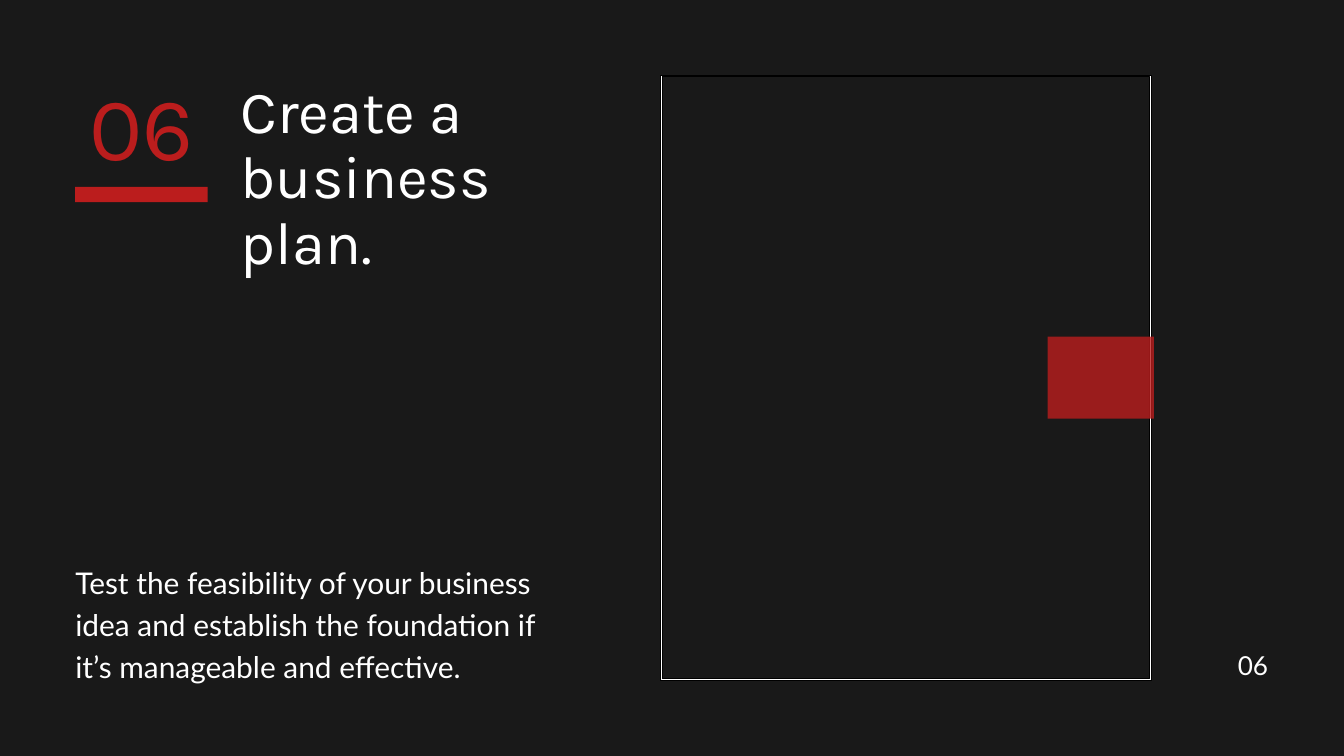
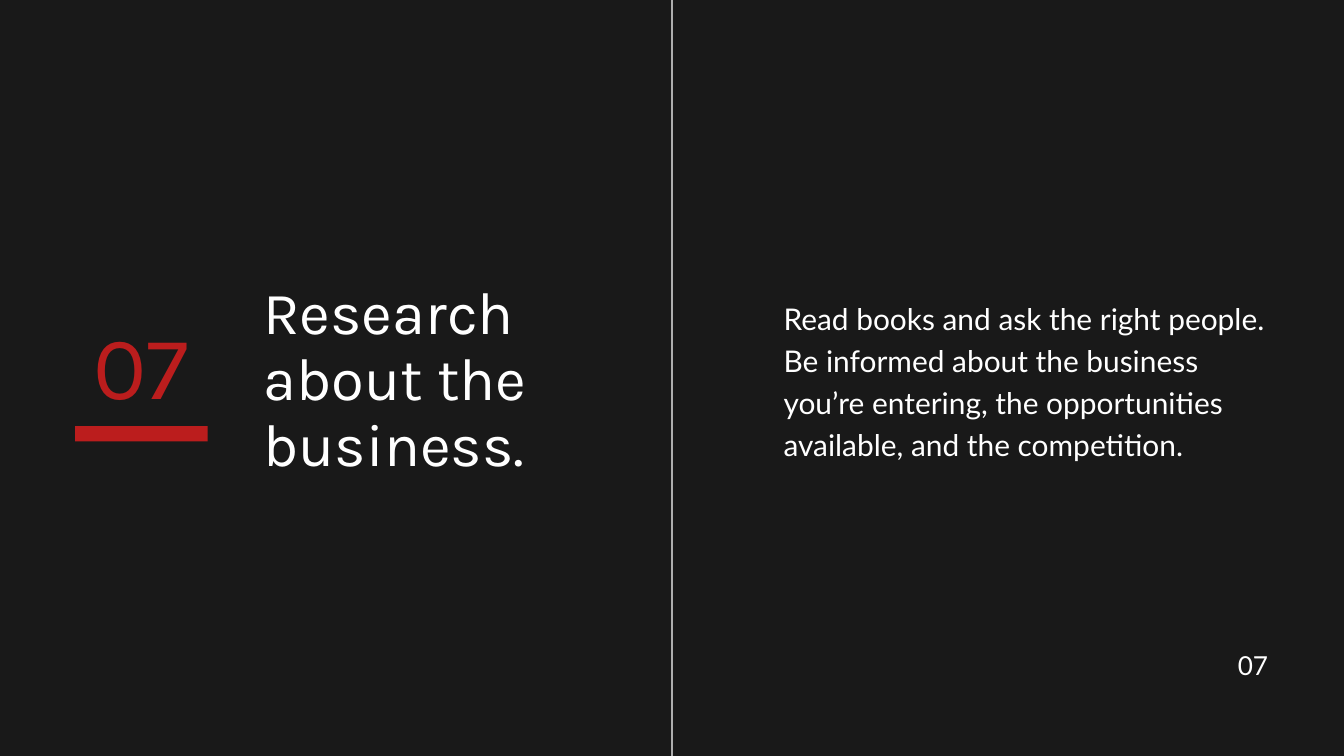
from dataclasses import dataclass

from lxml import etree
from pptx import Presentation
from pptx.dml.color import RGBColor
from pptx.enum.shapes import MSO_SHAPE
from pptx.enum.text import MSO_AUTO_SIZE, PP_ALIGN
from pptx.oxml.ns import qn
from pptx.util import Inches, Pt

RECT = MSO_SHAPE.RECTANGLE
GROW = MSO_AUTO_SIZE.SHAPE_TO_FIT_TEXT
LEFT, CENTER, RIGHT = PP_ALIGN.LEFT, PP_ALIGN.CENTER, PP_ALIGN.RIGHT


@dataclass(frozen=True)
class Theme:
    dark = RGBColor.from_string("191919")
    red = RGBColor.from_string("BB1D1D")
    white = RGBColor.from_string("FFFFFF")
    black = RGBColor.from_string("000000")
    number = {"font": "Karla", "size": 96, "lead": 105.6, "color": red}
    title = {"font": "Karla", "size": 64, "lead": 70.4, "color": white}
    body = {"font": "Lato", "size": 32, "lead": 44.8, "color": white}
    footer = {"font": "Lato", "size": 28, "lead": 30.8, "color": white}


THEME = Theme()
MARGIN = 1.12


def apply(target, values):
    for name, value in values.items():
        setattr(target, name, value)


def add_text(shapes, box, words, style, align=LEFT):
    frame = shapes.add_textbox(*map(Inches, box)).text_frame
    apply(frame, {"word_wrap": True, "auto_size": GROW,
                  "margin_left": 0, "margin_right": 0,
                  "margin_top": 0, "margin_bottom": 0})
    para = frame.paragraphs[0]
    apply(para, {"alignment": align, "line_spacing": Pt(style["lead"])})
    run = para.add_run()
    run.text = words
    apply(run.font, {"name": style["font"], "size": Pt(style["size"])})
    run.font.color.rgb = style["color"]


def add_block(shapes, box, color, alpha=100):
    block = shapes.add_shape(RECT, *map(Inches, box))
    block.shadow.inherit = False
    block.fill.solid()
    block.fill.fore_color.rgb = color
    block.line.fill.background()
    if alpha < 100:
        tint = block.fill._xPr.find(qn("a:solidFill"))[0]
        etree.SubElement(tint, qn("a:alpha"), val=str(alpha * 1000))


def add_badge(slide, top, number):
    shapes = slide.shapes.add_group_shape().shapes
    add_block(shapes, (MARGIN, top + 1.59, 1.97, 0.23), THEME.red)
    add_text(shapes, (MARGIN, top, 1.97, 1.53), number, THEME.number, CENTER)


def add_frame(slide, left, top, right, bottom, edge):
    def corners(inset):
        x1, x2 = Inches(left + inset), Inches(right - inset)
        y1, y2 = Inches(top + inset), Inches(bottom - inset)
        return [(x2, y1), (x1, y1), (x1, y2), (x2, y2)]

    outer = corners(0)
    inner = corners(edge)[::-1]
    path = slide.shapes.build_freeform(*outer[0])
    path.add_line_segments(outer[1:], close=True)
    path.move_to(*inner[0])
    path.add_line_segments(inner[1:], close=True)
    ring = path.convert_to_shape()
    ring.shadow.inherit = False
    ring.fill.solid()
    ring.fill.fore_color.rgb = THEME.white
    ring.line.color.rgb = THEME.black
    ring.line.width = Pt(0.75)


def add_page(deck, number):
    slide = deck.slides.add_slide(deck.slide_layouts[6])
    slide.background.fill.solid()
    slide.background.fill.fore_color.rgb = THEME.dark
    add_text(slide.shapes, (17.29, 9.7, 1.58, 0.43), number,
             THEME.footer, RIGHT)
    return slide


def add_plan(deck):
    slide = add_page(deck, "06")
    shapes = slide.shapes
    add_badge(slide, 1.19, "06")
    add_frame(slide, 9.83, 1.12, 17.13, 10.12, 0.02)
    add_block(shapes, (15.59, 5.01, 1.58, 1.22), THEME.red, alpha=80)
    add_text(shapes, (3.58, 1.18, 4.55, 2.95),
             "Create a business plan.", THEME.title)
    add_text(shapes, (MARGIN, 8.32, 7.01, 1.8),
             "Test the feasibility of your business idea and establish "
             "the foundation if it’s manageable and effective.", THEME.body)


def add_study(deck):
    slide = add_page(deck, "07")
    shapes = slide.shapes
    add_text(shapes, (3.92, 4.18, 5.46, 2.95),
             "Research about the business.", THEME.title)
    add_text(shapes, (11.66, 4.39, 7.21, 2.41),
             "Read books and ask the right people. Be informed about the "
             "business you’re entering, the opportunities available, "
             "and the competition.", THEME.body)
    add_badge(slide, 4.75, "07")
    add_block(shapes, (9.99, -0.29, 0.02, 11.83), THEME.white)


def main():
    deck = Presentation()
    apply(deck, {"slide_width": Inches(20), "slide_height": Inches(11.25)})
    add_plan(deck)
    add_study(deck)
    deck.save("out.pptx")


if __name__ == "__main__":
    main()
